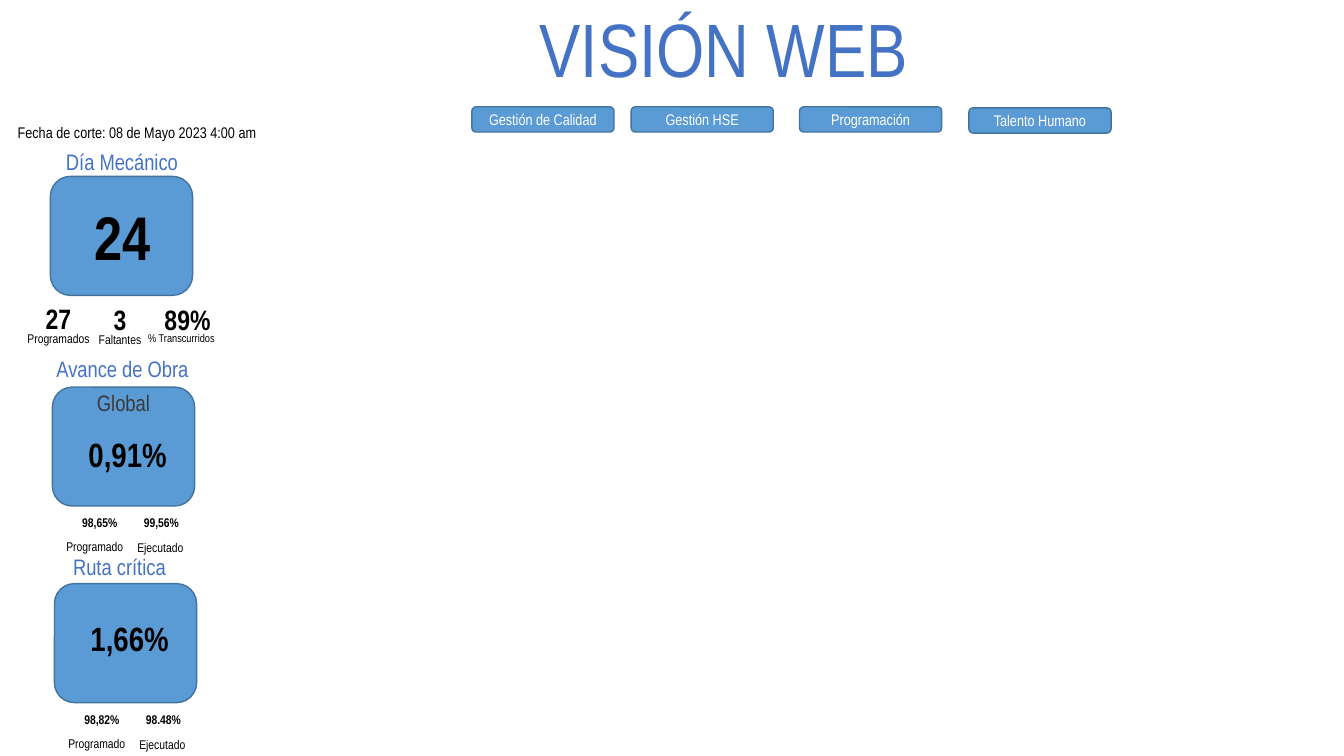
import pptx
import pptx.util
from pptx.dml.color import RGBColor
from pptx.enum.shapes import MSO_SHAPE
from pptx.enum.text import MSO_ANCHOR, MSO_AUTO_SIZE, PP_ALIGN
from pptx.util import Inches

FONT = "Arial Narrow"
BLACK = RGBColor(0x00, 0x00, 0x00)
WHITE = RGBColor(0xFF, 0xFF, 0xFF)
GRAY = RGBColor(0x3B, 0x38, 0x38)
TITLE_BLUE = RGBColor(0x44, 0x72, 0xC4)
CARD_BLUE = RGBColor(0x5B, 0x9B, 0xD5)
CARD_EDGE = RGBColor(0x43, 0x73, 0x9E)
CARD_WIDTH = 1.41


def write_text(frame, text, size, color, bold=False):
    para = frame.paragraphs[0]
    para.alignment = PP_ALIGN.CENTER
    span = para.add_run()
    span.text = text
    span.font.name = FONT
    span.font.size = pptx.util.Pt(size)
    span.font.bold = bold
    span.font.color.rgb = color


def add_label(page, text, left, top, width, height, size,
              color=BLACK, bold=False, wrap=True):
    box = page.shapes.add_textbox(
        Inches(left), Inches(top), Inches(width), Inches(height))
    box.text_frame.word_wrap = wrap
    box.text_frame.auto_size = MSO_AUTO_SIZE.SHAPE_TO_FIT_TEXT
    write_text(box.text_frame, text, size, color, bold)


def add_heading(page, text, left, top, width, color=TITLE_BLUE):
    add_label(page, text, left, top, width, 0.37, 16, color, wrap=False)


def add_card(page, left, top, height=1.18):
    card = page.shapes.add_shape(
        MSO_SHAPE.ROUNDED_RECTANGLE,
        Inches(left), Inches(top), Inches(CARD_WIDTH), Inches(height))
    card.shadow.inherit = False
    card.fill.solid()
    card.fill.fore_color.rgb = CARD_BLUE
    card.line.color.rgb = CARD_EDGE
    card.line.width = pptx.util.Pt(1)
    return card


def add_button(page, text, left, top):
    button = add_card(page, left, top, 0.25)
    button.text_frame.vertical_anchor = MSO_ANCHOR.MIDDLE
    write_text(button.text_frame, text, 11, WHITE)


def add_mechanical_day(page):
    add_heading(page, "Día Mecánico", 0.55, 1.42, 1.32)
    add_card(page, 0.5, 1.75)
    add_label(page, "24", 0.7, 1.92, 1.03, 0.84, 44, bold=True)
    figures = [
        ("27", 0.35, 2.94, 0.46, "Programados", 3.23, 9),
        ("3", 0.96, 2.95, 0.46, "Faltantes", 3.24, 9),
        ("89%", 1.49, 2.95, 0.74, "% Transcurridos", 3.24, 8),
    ]
    for column, figure in enumerate(figures):
        value, left, top, width, caption, caption_top, size = figure
        add_label(page, value, left, top, width, 0.44, 20, bold=True)
        add_label(page, caption, 0.13 + 0.61 * column, caption_top,
                  0.9, 0.25, size)


def add_progress(page, left, top, value, value_top, planned, executed):
    """Card with its deviation, and planned and executed shares below it."""
    add_card(page, left, top)
    add_label(page, value, left + 0.23, value_top, 1.03, 0.5, 24, bold=True)
    shares = [(planned, "Programado"), (executed, "Ejecutado")]
    for column, (share, caption) in enumerate(shares):
        add_label(page, share, left + 0.19 + 0.61 * column, top + 1.22,
                  0.56, 0.25, 9, bold=True)
        add_label(page, caption, left - 0.03 + 0.65 * column,
                  top + 1.46 + 0.01 * column, 0.9, 0.25, 9)


def main():
    deck = pptx.Presentation()
    deck.slide_width = Inches(13.33)
    deck.slide_height = Inches(7.5)
    page = deck.slides.add_slide(deck.slide_layouts[6])

    add_label(page, "VISIÓN WEB", 5.19, -0.03, 3.98, 1.01, 54,
              TITLE_BLUE, wrap=False)
    add_label(page, "Fecha de corte: 08 de Mayo 2023 4:00 am",
              0, 1.17, 2.72, 0.29, 11)

    add_mechanical_day(page)

    add_heading(page, "Avance de Obra", 0.45, 3.47, 1.53)
    add_progress(page, 0.52, 3.84, "0,91%", 4.26, "98,65%", "99,56%")
    add_heading(page, "Global", 0.86, 3.81, 0.73, GRAY)

    add_heading(page, "Ruta crítica", 0.62, 5.44, 1.13)
    add_progress(page, 0.54, 5.79, "1,66%", 6.08, "98,82%", "98.48%")

    buttons = [
        ("Gestión de Calidad", 4.68, 1.06),
        ("Gestión HSE", 6.26, 1.06),
        ("Programación", 7.93, 1.06),
        ("Talento Humano", 9.61, 1.07),
    ]
    for text, left, top in buttons:
        add_button(page, text, left, top)

    deck.save("out.pptx")


if __name__ == "__main__":
    main()
